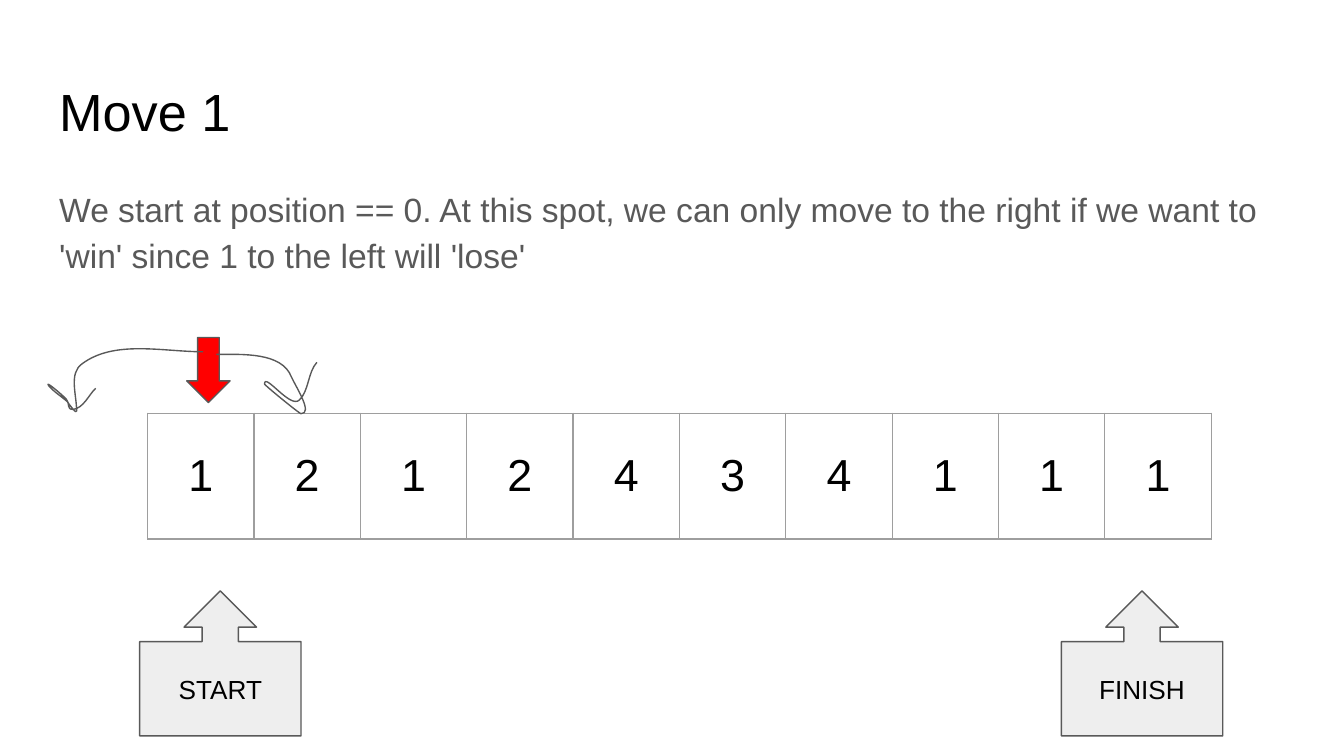
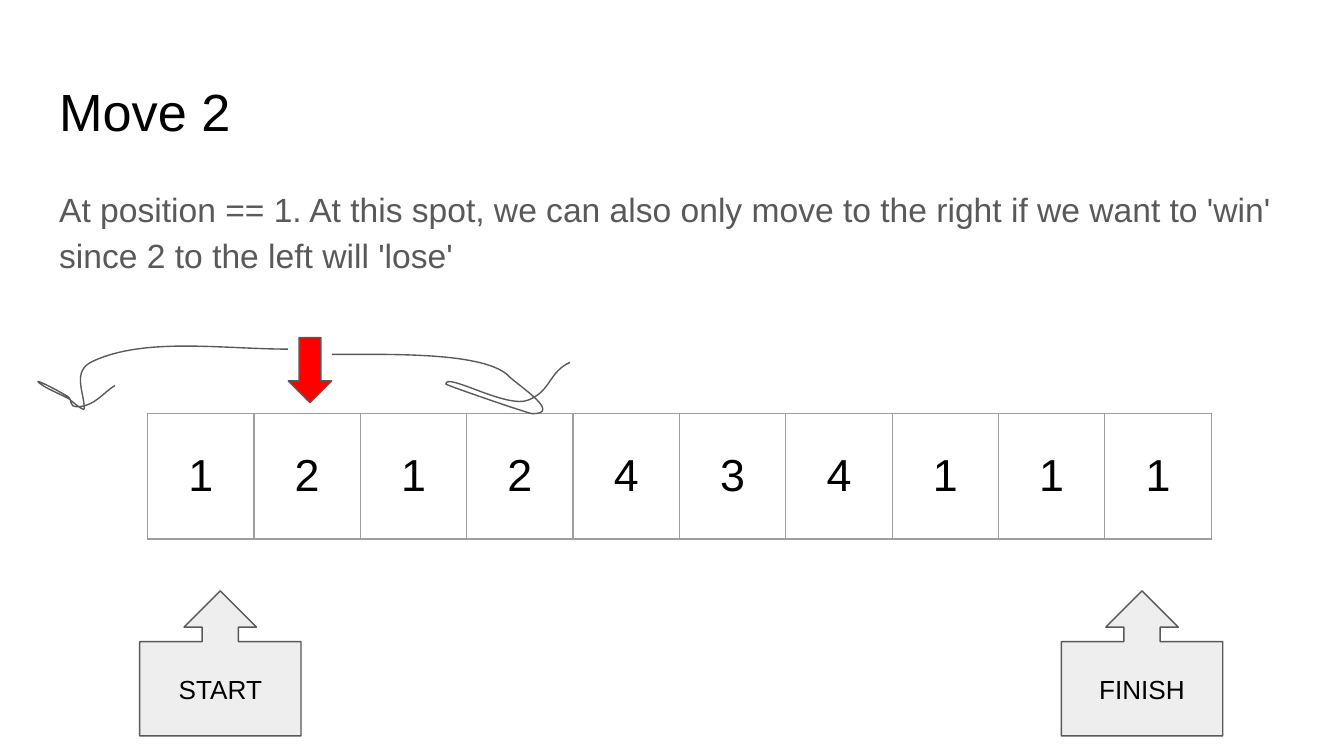
from lxml.etree import SubElement
from pptx import Presentation
from pptx.dml.color import RGBColor as RGB
from pptx.enum.shapes import MSO_SHAPE as SHAPE
from pptx.enum.text import MSO_ANCHOR as ANCHOR, PP_ALIGN as ALIGN
from pptx.oxml.ns import qn
from pptx.util import Cm, Pt

COLORS = {"text": "000000", "body": "595959", "outline": "595959",
          "callout": "EEEEEE", "marker": "FF0000", "grid": "9E9E9E"}
FONT = "Arial"
INSET = Cm(0.25)
LINE_WIDTH = Pt(0.75)
BOARD = [1, 2, 1, 2, 4, 3, 4, 1, 1, 1]

# Hooks as Bezier control points in cm, relative to the start of the jump
LEFT_HOOK = [
    (0, 0), (-0.76, 0), (-1.68, -0.23), (-2.29, 0.23),
    (-2.54, 0.41), (-2.39, 0.81), (-2.39, 1.12),
    (-2.39, 1.19), (-2.51, 1.02), (-2.57, 0.94),
    (-2.72, 0.81), (-2.82, 0.76), (-2.92, 0.64),
    (-3, 0.53), (-2.69, 0.79), (-2.59, 0.89),
    (-2.51, 0.97), (-2.59, 1.09), (-2.46, 1.09),
    (-2.26, 1.07), (-2.16, 0.81), (-2.03, 0.69)]
RIGHT_HOOK = [
    (0, 0), (0.48, 0), (1.24, -0.05), (1.42, 0.43),
    (1.52, 0.64), (1.83, 1.12), (1.6, 1.12),
    (1.57, 1.12), (0.91, 0.58), (0.91, 0.56),
    (0.91, 0.33), (1.4, 1.04), (1.57, 0.86),
    (1.75, 0.69), (1.73, 0.33), (1.9, 0.15)]

# Each hook: control points, start x, start y, horizontal stretch
MOVES = [
    {"title": "Move 1",
     "body": "We start at position == 0. At this spot, we can only move to the "
             "right if we want to 'win' since 1 to the left will 'lose'",
     "marker": 3.53,
     "hooks": [(RIGHT_HOOK, 4.09, 6.7, 1), (LEFT_HOOK, 3.84, 6.65, 1)]},
    {"title": "Move 2",
     "body": "At position == 1. At this spot, we can also only move to the "
             "right if we want to 'win' since 2 to the left will 'lose'",
     "marker": 5.45,
     "hooks": [(LEFT_HOOK, 5.44, 6.6, 1.61), (RIGHT_HOOK, 6.27, 6.7, 2.37)]},
]


def rgb(name):
    return RGB.from_string(COLORS[name])


def set_attrs(obj, values):
    for name, value in values.items():
        setattr(obj, name, value)


def set_frame(obj, anchor):
    """Set the insets and anchor of a text frame or a table cell."""
    set_attrs(obj, {"vertical_anchor": anchor,
                    "margin_left": INSET, "margin_right": INSET,
                    "margin_top": INSET, "margin_bottom": INSET})


def write(tf, text, size, color="text", **paragraph):
    """Write one paragraph into a text frame."""
    tf.word_wrap = True
    p = tf.paragraphs[0]
    set_attrs(p, paragraph)
    r = p.add_run()
    r.text = text
    set_attrs(r.font, {"size": Pt(size), "name": FONT})
    r.font.color.rgb = rgb(color)


def add_text(s, top, height, text, size, color="text", **paragraph):
    sp = s.shapes.add_textbox(Cm(0.87), Cm(top), Cm(23.67), Cm(height))
    set_frame(sp.text_frame, ANCHOR.TOP)
    write(sp.text_frame, text, size, color, **paragraph)


def style_shape(sp, fill=None):
    sp.shadow.inherit = False
    if fill:
        sp.fill.solid()
        sp.fill.fore_color.rgb = rgb(fill)
    else:
        sp.fill.background()
    sp.line.color.rgb = rgb("outline")
    sp.line.width = LINE_WIDTH


def add_cell_borders(cell):
    tcPr = cell._tc.get_or_add_tcPr()
    for i, side in enumerate(("lnL", "lnR", "lnT", "lnB")):
        ln = SubElement(tcPr, qn(f"a:{side}"), w=str(LINE_WIDTH))
        fill = SubElement(ln, qn("a:solidFill"))
        SubElement(fill, qn("a:srgbClr"), val=COLORS["grid"])
        tcPr.insert(i, ln)


def add_board(s):
    """Row of numbered squares."""
    width, height = Cm(20.1), Cm(2.38)
    tbl = s.shapes.add_table(1, len(BOARD), Cm(2.79), Cm(7.81),
                             width, height).table
    set_attrs(tbl, {"first_row": False, "horz_banding": False})
    for col, value in enumerate(BOARD):
        tbl.columns[col].width = width // len(BOARD)
        cell = tbl.cell(0, col)
        set_frame(cell, ANCHOR.MIDDLE)
        cell.fill.background()
        add_cell_borders(cell)
        write(cell.text_frame, str(value), 24, alignment=ALIGN.CENTER)


def add_callout(s, left, label):
    sp = s.shapes.add_shape(SHAPE.UP_ARROW_CALLOUT, Cm(left), Cm(11.17),
                            Cm(3.05), Cm(2.74))
    for i, value in enumerate((0.25, 0.25, 0.25, 0.65)):
        sp.adjustments[i] = value
    style_shape(sp, "callout")
    set_frame(sp.text_frame, ANCHOR.MIDDLE)
    write(sp.text_frame, label, 14, alignment=ALIGN.CENTER)


def add_marker(s, left):
    sp = s.shapes.add_shape(SHAPE.DOWN_ARROW, Cm(left), Cm(6.38),
                            Cm(0.82), Cm(1.23))
    style_shape(sp, "marker")


def add_hook(s, points, x, y, stretch):
    """Open curve: lines between the anchors, then bent into Beziers."""
    pts = [(Cm(x + dx * stretch), Cm(y + dy)) for dx, dy in points]
    fb = s.shapes.build_freeform(*pts[0])
    fb.add_line_segments(pts[3::3], close=False)
    sp = fb.convert_to_shape()
    lines = list(sp._element.iter(qn("a:lnTo")))
    for i, line in enumerate(lines):
        line.clear()
        curve = SubElement(line.getparent(), qn("a:cubicBezTo"))
        for px, py in pts[3 * i + 1:3 * i + 4]:
            SubElement(curve, qn("a:pt"),
                       x=str(px - sp.left), y=str(py - sp.top))
        line.getparent().replace(line, curve)
    style_shape(sp)


def add_move(prs, move):
    s = prs.slides.add_slide(prs.slide_layouts[6])
    # Title and explanation
    add_text(s, 1.24, 1.6, move["title"], 28)
    add_text(s, 3.2, 3.63, move["body"], 18, "body",
             line_spacing=1.15, space_after=Pt(16))
    # Board with its two ends
    add_board(s)
    add_callout(s, 2.64, "START")
    add_callout(s, 20.06, "FINISH")
    # Current position and possible jumps
    add_marker(s, move["marker"])
    for hook in move["hooks"]:
        add_hook(s, *hook)


def main():
    prs = Presentation()
    set_attrs(prs, {"slide_width": Cm(25.4), "slide_height": Cm(14.29)})
    for move in MOVES:
        add_move(prs, move)
    prs.save("out.pptx")


if __name__ == "__main__":
    main()
